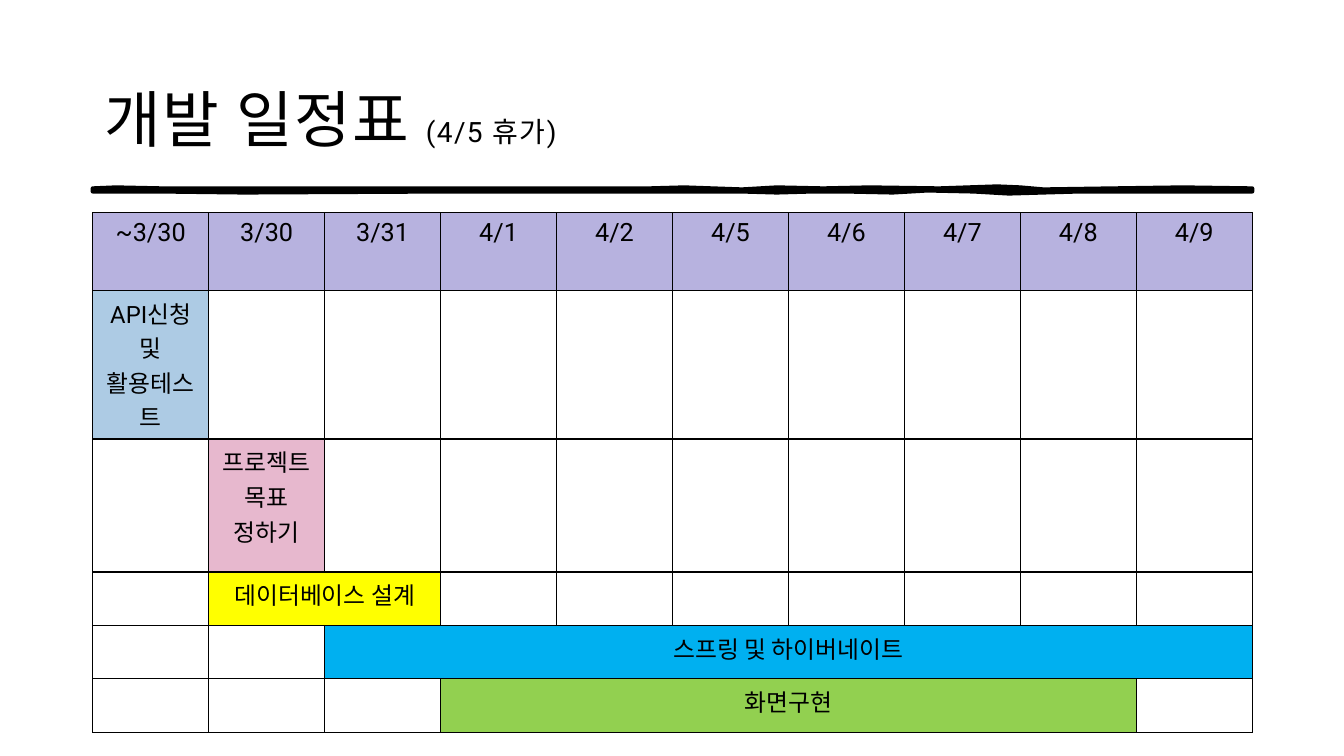
from dataclasses import dataclass

import lxml.etree
import pptx
import pptx.dml.color
import pptx.enum.text
import pptx.oxml.ns
import pptx.util


@dataclass(frozen=True)
class Theme:
    font: str = "Roboto"
    ink: str = "000000"
    header: str = "B7B2DF"
    blue: str = "ADCBE4"
    pink: str = "E7B8CE"
    yellow: str = "FFFF00"
    cyan: str = "00B0F0"
    green: str = "92D050"
    title_size: int = 44
    note_size: int = 20
    header_size: int = 18
    task_size: int = 17
    letter_spacing: int = 1
    border: int = 1
    stroke: int = 3


@dataclass(frozen=True)
class Task:
    text: str
    row: int
    column: int
    days: int
    color: str


THEME = Theme()
SLIDE_WIDTH, SLIDE_HEIGHT = 13.33, 7.5
LEFT, COLUMN_WIDTH = 0.92, 1.15
TABLE_TOP = 2.11
ROW_HEIGHTS = [0.77, 1.32, 1.32, 0.53, 0.53, 0.53]
DATES = ["~3/30", "3/30", "3/31", "4/1", "4/2", "4/5", "4/6", "4/7", "4/8", "4/9"]
TABLE_WIDTH = COLUMN_WIDTH * len(DATES)
TASKS = [
    Task("API신청 및 활용테스트", 1, 0, 1, THEME.blue),
    Task("프로젝트 목표 정하기", 2, 1, 1, THEME.pink),
    Task("데이터베이스 설계", 3, 1, 2, THEME.yellow),
    Task("스프링 및 하이버네이트", 4, 2, 8, THEME.cyan),
    Task("화면구현", 5, 3, 6, THEME.green),
]

# Brush rule edges: (distance in columns, height in inches)
RULE_TOP = [(0, 1.87), (0.2, 1.86), (0.6, 1.87), (2, 1.87), (2.6, 1.87), (4.8, 1.87),
            (5.1, 1.86), (5.6, 1.88), (5.9, 1.86), (6.3, 1.87), (6.7, 1.86), (7.3, 1.87),
            (7.8, 1.85), (8, 1.86), (8.2, 1.88), (8.8, 1.87), (9.4, 1.86), (10, 1.87)]
RULE_BOTTOM = [(10, 1.9), (9, 1.9), (8.5, 1.9), (8.2, 1.91), (7.9, 1.92), (7.6, 1.9),
               (7.2, 1.89), (6.9, 1.91), (6.5, 1.9), (6.2, 1.9), (5.9, 1.91), (5.6, 1.9),
               (5, 1.9), (3, 1.9), (1.3, 1.91), (0.6, 1.9), (0, 1.9)]


def rgb(color: str) -> pptx.dml.color.RGBColor:
    return pptx.dml.color.RGBColor.from_string(color)


def add_run(paragraph, text: str, size: int, spacing: int = 0) -> None:
    run = paragraph.add_run()
    run.text = text
    run.font.name = THEME.font
    run.font.size = pptx.util.Pt(size)
    run.font.color.rgb = rgb(THEME.ink)
    if spacing:
        run._r.get_or_add_rPr().set("spc", str(spacing * 100))


def add_rule(slide) -> None:
    points = [(pptx.util.Inches(LEFT + column * COLUMN_WIDTH), pptx.util.Inches(height))
              for column, height in RULE_TOP + RULE_BOTTOM]
    builder = slide.shapes.build_freeform(*points[0])
    builder.add_line_segments(points[1:], close=True)
    shape = builder.convert_to_shape()
    shape.shadow.inherit = False
    shape.fill.solid()
    shape.fill.fore_color.rgb = rgb(THEME.ink)
    shape.line.color.rgb = rgb(THEME.ink)
    shape.line.width = pptx.util.Pt(THEME.stroke)


def format_title(title) -> None:
    title.left, title.top = pptx.util.Inches(LEFT), pptx.util.Inches(0.4)
    title.width, title.height = pptx.util.Inches(TABLE_WIDTH), pptx.util.Inches(1.45)
    frame = title.text_frame
    frame.word_wrap = True
    frame.auto_size = pptx.enum.text.MSO_AUTO_SIZE.NONE
    frame.vertical_anchor = pptx.enum.text.MSO_ANCHOR.MIDDLE
    frame.margin_left = frame.margin_top = frame.margin_right = pptx.util.Inches(0.12)
    frame.margin_bottom = pptx.util.Inches(0.1)
    paragraph = frame.paragraphs[0]
    paragraph.alignment = pptx.enum.text.PP_ALIGN.LEFT
    paragraph.line_spacing = 1.1
    add_run(paragraph, "개발 일정표 ", THEME.title_size, THEME.letter_spacing)
    add_run(paragraph, "(4/5 휴가)", THEME.note_size, THEME.letter_spacing)


def add_borders(cell) -> None:
    properties = cell._tc.get_or_add_tcPr()
    qualify = pptx.oxml.ns.qn
    for side in ("a:lnL", "a:lnR", "a:lnT", "a:lnB"):
        line = lxml.etree.SubElement(properties, qualify(side),
                                     w=str(pptx.util.Pt(THEME.border)))
        fill = lxml.etree.SubElement(line, qualify("a:solidFill"))
        lxml.etree.SubElement(fill, qualify("a:srgbClr"), val=THEME.ink)


def fill_cell(cell, text: str, size: int, color: str) -> None:
    cell.fill.solid()
    cell.fill.fore_color.rgb = rgb(color)
    paragraph = cell.text_frame.paragraphs[0]
    paragraph.alignment = pptx.enum.text.PP_ALIGN.CENTER
    add_run(paragraph, text, size)


def add_schedule(slide) -> None:
    frame = slide.shapes.add_table(
        len(ROW_HEIGHTS), len(DATES), pptx.util.Inches(LEFT), pptx.util.Inches(TABLE_TOP),
        pptx.util.Inches(TABLE_WIDTH), pptx.util.Inches(sum(ROW_HEIGHTS)))
    table = frame.table
    table.first_row = table.horz_banding = False
    for column in table.columns:
        column.width = pptx.util.Inches(COLUMN_WIDTH)
    for row, height in zip(table.rows, ROW_HEIGHTS):
        row.height = pptx.util.Inches(height)
    for cell in table.iter_cells():
        add_borders(cell)
        cell.fill.background()

    # Date header
    for column, date in enumerate(DATES):
        fill_cell(table.cell(0, column), date, THEME.header_size, THEME.header)

    # Task bars
    for task in TASKS:
        cell = table.cell(task.row, task.column)
        if task.days > 1:
            cell.merge(table.cell(task.row, task.column + task.days - 1))
        fill_cell(cell, task.text, THEME.task_size, task.color)


def main() -> None:
    presentation = pptx.Presentation()
    presentation.slide_width = pptx.util.Inches(SLIDE_WIDTH)
    presentation.slide_height = pptx.util.Inches(SLIDE_HEIGHT)
    slide = presentation.slides.add_slide(presentation.slide_layouts[5])
    add_rule(slide)
    format_title(slide.shapes.title)
    add_schedule(slide)
    presentation.save("out.pptx")


if __name__ == "__main__":
    main()
